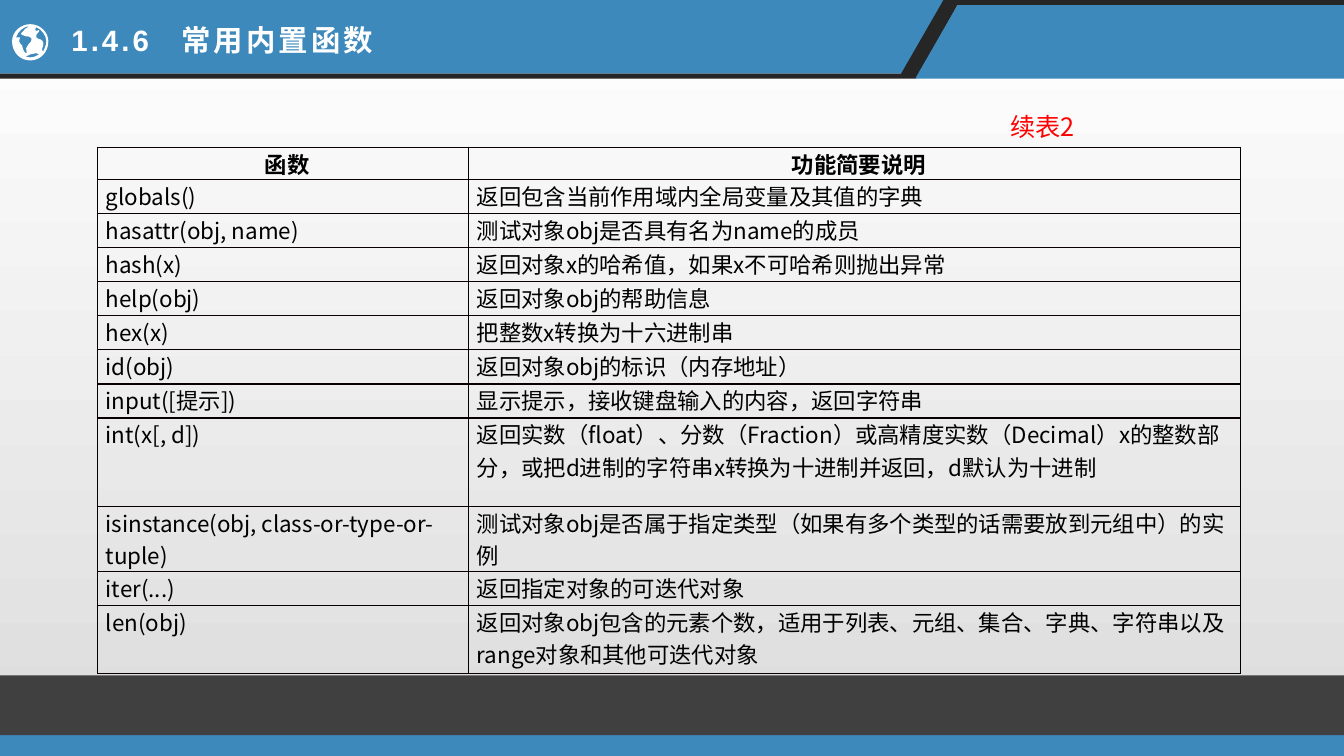
"""Builds the slide listing common built-in functions, continued table 2."""
from dataclasses import dataclass

from lxml.etree import SubElement
from pptx import Presentation
from pptx.dml.color import RGBColor as Color
from pptx.enum.shapes import MSO_SHAPE as Preset
from pptx.enum.text import MSO_ANCHOR as Anchor, PP_ALIGN as Align
from pptx.oxml.ns import qn
from pptx.util import Pt

COLUMNS, ROWS = 160, 90
CELL = 76200
LINE = 4.06

FUNCTIONS = [
    ("函数", "功能简要说明", 3.6),
    ("globals()", "返回包含当前作用域内全局变量及其值的字典", LINE),
    ("hasattr(obj, name)", "测试对象obj是否具有名为name的成员", LINE),
    ("hash(x)", "返回对象x的哈希值，如果x不可哈希则抛出异常", LINE),
    ("help(obj)", "返回对象obj的帮助信息", LINE),
    ("hex(x)", "把整数x转换为十六进制串", LINE),
    ("id(obj)", "返回对象obj的标识（内存地址）", LINE),
    ("input([提示])", "显示提示，接收键盘输入的内容，返回字符串", LINE),
    ("int(x[, d])", "返回实数（float）、分数（Fraction）或高精度实数（Decimal）x的整数部分，"
     "或把d进制的字符串x转换为十进制并返回，d默认为十进制", 10.56),
    ("isinstance(obj, class-or-type-or-tuple)",
     "测试对象obj是否属于指定类型（如果有多个类型的话需要放到元组中）的实例", 7.08),
    ("iter(...)", "返回指定对象的可迭代对象", LINE),
    ("len(obj)", "返回对象obj包含的元素个数，适用于列表、元组、集合、字典、字符串"
     "以及range对象和其他可迭代对象", 2 * LINE),
]

GLOBE_CELL = 0.12
GLOBE_CURVES = [
    "30,24 20,24 12,32 12,41 12,52 20,60 30,60 40,60 48,52 48,41 48,32 40,24 30,24",
    "46,41 46,45 44,48 43,51 42,51 41,49 42,48 43,47 43,44 43,43 43,42 42,39 40,39 "
    "39,39 38,39 36,37 35,33 40,32 39,30 38,29 35,33 35,29 35,28 35,28 36,27 "
    "41,29 46,35 46,41",
    "28,26 28,27 27,28 26,28 25,29 24,29 24,30 23,31 21,33 21,33 21,34 22,36 23,35 "
    "23,35 24,35 25,36 27,36 33,36 31,41 30,43 28,43 27,46 27,46 26,48 26,48 "
    "26,49 27,53 26,53 25,53 23,50 23,49 23,48 22,47 22,45 22,44 19,44 19,41 "
    "19,39 20,38 20,37 20,37 17,37 16,37 18,31 23,27 28,26",
    "25,56 27,56 27,55 28,55 28,55 29,55 30,54 31,54 33,53 35,53 36,53 38,53 39,54 "
    "36,56 33,57 30,57 28,57 27,56 25,56",
]


@dataclass(frozen=True)
class Theme:
    """Colours, fonts and type sizes."""
    blue: str = "3D89BC"
    black: str = "000000"
    border: str = "080000"
    dark: str = "262626"
    footer: str = "404040"
    white: str = "FFFFFF"
    grey: str = "DCDCDC"
    red: str = "FF0000"
    heading_font: str = "Arial"
    body_font: str = "Noto Sans CJK SC"
    heading: float = 21
    caption: float = 18
    body: float = 16


def grid(value):
    """Convert grid cells to slide units."""
    return round(value * CELL)


def knots(curve):
    """Read the knots of a chain of cubic curves onto the grid."""
    return [tuple(float(n) * GLOBE_CELL for n in pair.split(",")) for pair in curve.split()]


class SlideBuilder:
    """Draws styled elements on one slide."""

    def __init__(self, presentation, theme):
        self.theme = theme
        self.slide = presentation.slides.add_slide(presentation.slide_layouts[6])

    def background(self, *colours):
        """Fill the slide with a downward gradient."""
        fill = self.slide.background.fill
        fill.gradient()
        fill.gradient_angle = 270
        for position, (stop, colour) in enumerate(zip(fill.gradient_stops, colours)):
            stop.position = position
            stop.color.rgb = Color.from_string(colour)

    def paint(self, shape, colour):
        """Give a shape a flat fill without line or shadow."""
        shape.shadow.inherit = False
        shape.fill.solid()
        shape.fill.fore_color.rgb = Color.from_string(colour)
        shape.line.fill.background()

    def bar(self, row, height, colour):
        """Draw a bar across the full slide width."""
        box = (0, grid(row), grid(COLUMNS), grid(height))
        self.paint(self.slide.shapes.add_shape(Preset.RECTANGLE, *box), colour)

    def outline(self, contours, colour):
        """Draw a filled outline from one or more contours."""
        scaled = [[(grid(x), grid(y)) for x, y in contour] for contour in contours]
        builder = self.slide.shapes.build_freeform(*scaled[0][0])
        for index, (start, *points) in enumerate(scaled):
            if index:
                builder.move_to(*start)
            builder.add_line_segments(points, close=False)
            builder.add_line_segments([], close=True)
        shape = builder.convert_to_shape()
        self.paint(shape, colour)
        return shape

    def curved_outline(self, contours, colour):
        """Draw an outline whose points are knots of cubic curves."""
        shape = self.outline(contours, colour)
        segments = list(shape._element.iter(qn("a:lnTo")))
        for first in range(0, len(segments), 3):
            curve, *others = segments[first:first + 3]
            curve.tag = qn("a:cubicBezTo")
            for segment in others:
                curve.append(segment[0])
                segment.getparent().remove(segment)

    def style(self, paragraph, size, colour, bold=False, font=None, spacing=None):
        """Format every run of a paragraph."""
        for run in paragraph.runs:
            run.font.size = Pt(size)
            run.font.bold = bold
            run.font.color.rgb = Color.from_string(colour)
            run.font.name = font or self.theme.body_font
            properties = run._r.get_or_add_rPr()
            SubElement(properties, qn("a:ea"), typeface=self.theme.body_font)
            if spacing:
                properties.set("spc", str(round(spacing * 100)))

    def text(self, box, content, align=Align.LEFT, anchor=Anchor.TOP, tab=None, **style):
        """Place a line of text, with an optional tab stop."""
        frame = self.slide.shapes.add_textbox(*map(grid, box)).text_frame
        frame.word_wrap = True
        frame.vertical_anchor = anchor
        frame.text = content
        paragraph = frame.paragraphs[0]
        paragraph.alignment = align
        if tab:
            stops = SubElement(paragraph._p.get_or_add_pPr(), qn("a:tabLst"))
            SubElement(stops, qn("a:tab"), pos=str(grid(tab)), algn="l")
        self.style(paragraph, **style)

    def borders(self, cell, outer):
        """Line all four sides of a cell."""
        properties = cell._tc.get_or_add_tcPr()
        for side in "LRTB":
            edge = outer and side == "R"
            line = SubElement(properties, qn(f"a:ln{side}"), w=str(Pt(0.75 if edge else 1)))
            fill = SubElement(line, qn("a:solidFill"))
            SubElement(fill, qn("a:srgbClr"), val=self.theme.black if edge else self.theme.border)

    def table(self, left, top, widths, records):
        """Draw a ruled table whose records end with a row height."""
        box = (left, top, sum(widths), sum(record[-1] for record in records))
        table = self.slide.shapes.add_table(len(records), len(widths), *map(grid, box)).table
        table.first_row = table.horz_banding = False
        for column, width in zip(table.columns, widths):
            column.width = grid(width)
        for index, (row, record) in enumerate(zip(table.rows, records)):
            row.height = grid(record[-1])
            for position, (cell, content) in enumerate(zip(row.cells, record)):
                cell.margin_left = grid(0.96)
                cell.margin_right = cell.margin_top = cell.margin_bottom = 0
                self.borders(cell, position == len(widths) - 1)
                cell.fill.background()
                cell.text_frame.text = content
                paragraph = cell.text_frame.paragraphs[0]
                paragraph.alignment = Align.LEFT if index else Align.CENTER
                self.style(paragraph, self.theme.body, self.theme.black, bold=index == 0)


def main():
    """Build and save the slide."""
    presentation = Presentation()
    presentation.slide_width, presentation.slide_height = grid(COLUMNS), grid(ROWS)
    theme = Theme()
    builder = SlideBuilder(presentation, theme)
    builder.background(theme.white, theme.grey)
    builder.outline([[(0, 0), (112.8, 0), (107.88, 8.76), (0, 8.76)]], theme.blue)
    builder.outline([[(112.32, 0), (COLUMNS, 0), (COLUMNS, 0.6), (114, 0.6), (109.08, 9.36),
                      (0, 9.36), (0, 8.76), (107.28, 8.76)]], theme.dark)
    builder.outline([[(114, 0.6), (COLUMNS, 0.6), (COLUMNS, 9.36), (108.96, 9.36)]], theme.blue)
    builder.bar(87.48, 2.52, theme.blue)
    builder.bar(80.4, 7.12, theme.footer)
    builder.curved_outline([knots(curve) for curve in GLOBE_CURVES], theme.white)
    builder.table(11.64, 17.52, (44.16, 91.92), FUNCTIONS)
    builder.text((111.84, 12.72, 17.28, 4.8), "续表2", Align.RIGHT,
                 size=theme.caption, colour=theme.red)
    builder.text((7.32, 1.98, 70.8, 5.4), "1.4.6\t常用内置函数", anchor=Anchor.MIDDLE, tab=13.1,
                 size=theme.heading, colour=theme.white, bold=True, font=theme.heading_font,
                 spacing=2.2)
    presentation.save("out.pptx")


if __name__ == "__main__":
    main()
